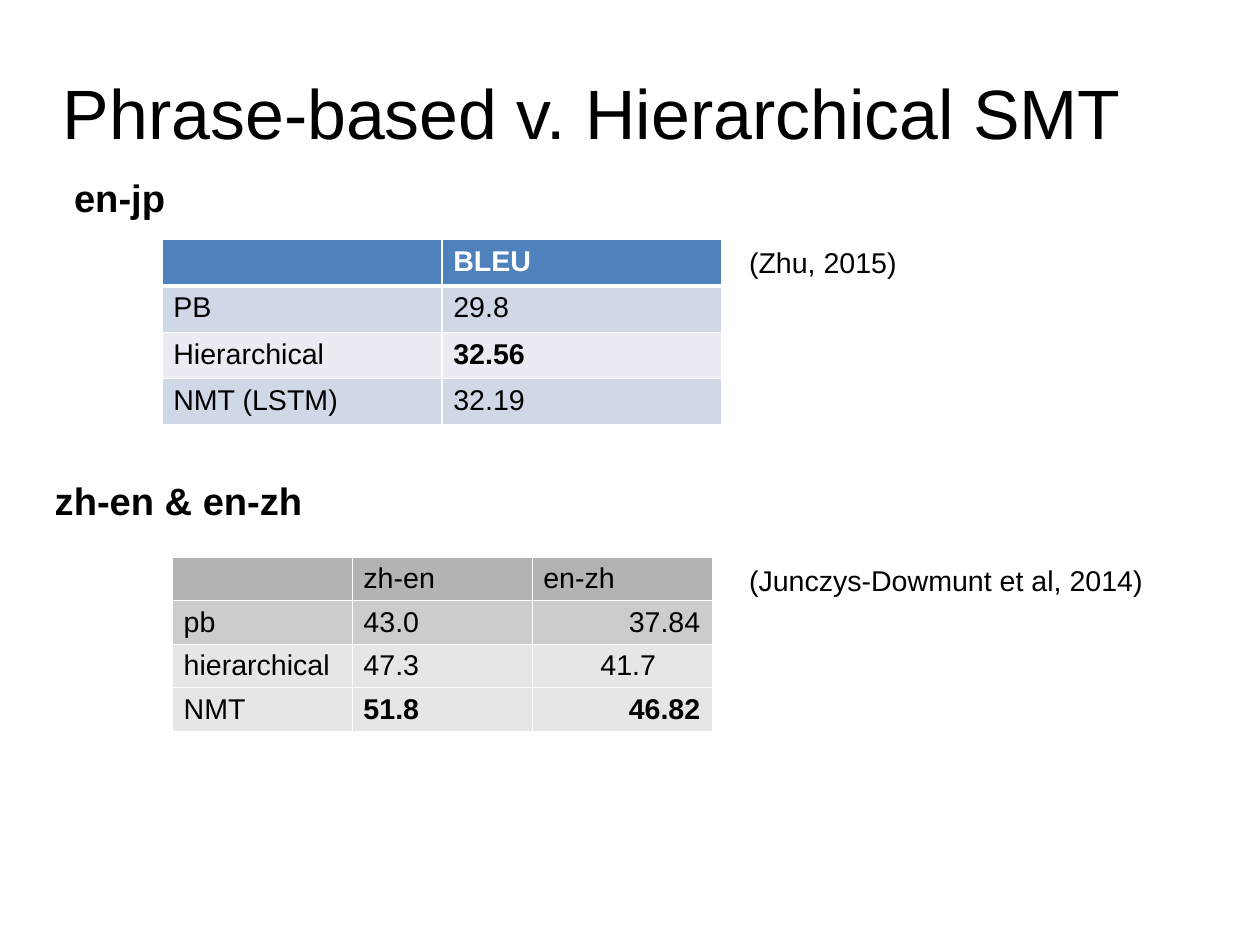
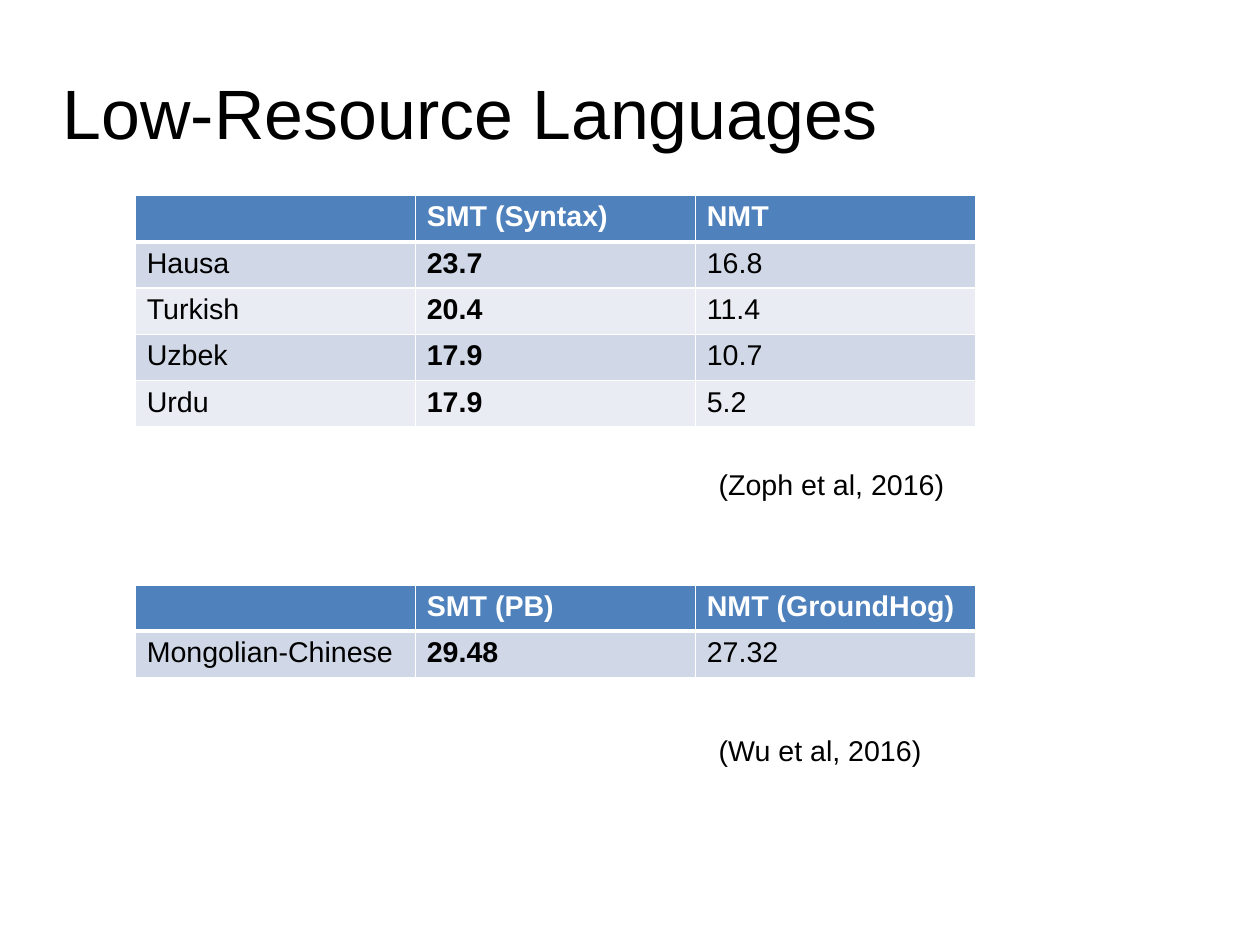
from dataclasses import dataclass

from lxml.etree import SubElement
from pptx import Presentation
from pptx.dml.color import RGBColor
from pptx.enum.text import MSO_ANCHOR, MSO_AUTO_SIZE, PP_ALIGN
from pptx.oxml.ns import qn
from pptx.util import Pt

WHITE = RGBColor(0xFF, 0xFF, 0xFF)
BLACK = RGBColor(0, 0, 0)
BLUE = RGBColor(0x4F, 0x81, 0xBD)
BLUE_BAND = RGBColor(0xD0, 0xD8, 0xE7)
PALE_BAND = RGBColor(0xE9, 0xEC, 0xF3)
DARK_GREY = RGBColor(0xB3, 0xB3, 0xB3)
MIDDLE_GREY = RGBColor(0xCC, 0xCC, 0xCC)
LIGHT_GREY = RGBColor(0xE6, 0xE6, 0xE6)

FONT = "Arial"
SLIDE_WIDTH, SLIDE_HEIGHT = 793.75, 595.25
TITLE_BOX = (39.6, 23.8, 714.2, 99.4)
TITLE_SIZE, HEADING_SIZE, TEXT_SIZE = 44, 24, 18
LABEL_WIDTH = 272


@dataclass(frozen=True)
class TableStyle:
    """Fills, header font, border widths and bottom margin of a kind of table."""

    row_fills: tuple
    header_color: RGBColor
    header_bold: bool
    border: float
    header_rule: float
    bottom_margin: float


BLUE_STYLE = TableStyle(
    (BLUE, BLUE_BAND, PALE_BAND, BLUE_BAND, PALE_BAND), WHITE, True, 0.96, 3, 3.6
)
GREY_STYLE = TableStyle(
    (DARK_GREY, MIDDLE_GREY, LIGHT_GREY, LIGHT_GREY), BLACK, False, 0.06, 0.06, 2.2
)


def set_font(paragraph, size, color=BLACK, bold=False):
    """Give a paragraph the shared typeface with its size, colour and weight."""
    font = paragraph.font
    font.name, font.size, font.bold = FONT, Pt(size), bold
    font.color.rgb = color


def add_titled_slide(presentation, title):
    """Add a title-only slide and format its title."""
    slide = presentation.slides.add_slide(presentation.slide_layouts[5])
    shape = slide.shapes.title
    shape.left, shape.top, shape.width, shape.height = map(Pt, TITLE_BOX)
    frame = shape.text_frame
    frame.text = title
    frame.auto_size = MSO_AUTO_SIZE.NONE
    frame.vertical_anchor = MSO_ANCHOR.MIDDLE
    frame.margin_left = frame.margin_right = frame.margin_top = frame.margin_bottom = 0
    paragraph = frame.paragraphs[0]
    paragraph.alignment = PP_ALIGN.LEFT
    paragraph.line_spacing = 0.9
    set_font(paragraph, TITLE_SIZE)
    return slide


def add_label(slide, text, left, top, height, size=TEXT_SIZE, bold=False):
    """Add one line of text at the given place."""
    box = slide.shapes.add_textbox(Pt(left), Pt(top), Pt(LABEL_WIDTH), Pt(height))
    box.text_frame.word_wrap = True
    box.text_frame.text = text
    set_font(box.text_frame.paragraphs[0], size, bold=bold)


def add_heading(slide, text, left, top):
    """Add a bold section heading."""
    add_label(slide, text, left, top, 32.4, HEADING_SIZE, True)


def add_citation(slide, text, left, top):
    """Add the source of a table."""
    add_label(slide, text, left, top, 47.5)


def set_borders(cell, width, bottom_width):
    """Draw white lines on the four sides of a cell."""
    properties = cell._tc.get_or_add_tcPr()
    sides = (("a:lnL", width), ("a:lnR", width), ("a:lnT", width), ("a:lnB", bottom_width))
    for tag, side_width in sides:
        line = SubElement(properties, qn(tag), w=str(Pt(side_width)))
        fill = SubElement(line, qn("a:solidFill"))
        SubElement(fill, qn("a:srgbClr"), val=str(WHITE))


def add_score_table(slide, rows, left, top, column_width, row_height, style, best):
    """Add a table of scores whose best (row, column) cells are bold."""
    row_count, column_count = len(rows), len(rows[0])
    table = slide.shapes.add_table(
        row_count, column_count, Pt(left), Pt(top),
        Pt(column_width * column_count), Pt(row_height * row_count),
    ).table
    table.horz_banding = False
    for column in table.columns:
        column.width = Pt(column_width)
    for row_index, texts in enumerate(rows):
        table.rows[row_index].height = Pt(row_height)
        is_header = row_index == 0
        for column_index, text in enumerate(texts):
            cell = table.cell(row_index, column_index)
            cell.text = text
            cell.margin_bottom = Pt(style.bottom_margin)
            set_borders(cell, style.border, style.header_rule if is_header else style.border)
            cell.fill.solid()
            cell.fill.fore_color.rgb = style.row_fills[row_index]
            set_font(
                cell.text_frame.paragraphs[0], TEXT_SIZE,
                style.header_color if is_header else BLACK,
                style.header_bold if is_header else (row_index, column_index) in best,
            )
    return table


def build_phrase_slide(presentation):
    """Compare phrase-based with hierarchical translation."""
    slide = add_titled_slide(presentation, "Phrase-based v. Hierarchical SMT")
    citation_left = 464.8
    japanese_top, chinese_top = 151, 350.8

    japanese_rows = (("", "BLEU"), ("PB", "29.8"), ("Hierarchical", "32.56"), ("NMT (LSTM)", "32.19"))
    add_score_table(slide, japanese_rows, 102, japanese_top, 176.4, 29.2, BLUE_STYLE, {(2, 1)})
    add_heading(slide, "en-jp", 39.6, 106.6)
    add_citation(slide, "(Zhu, 2015)", citation_left, japanese_top)

    chinese_rows = (
        ("", "zh-en", "en-zh"),
        ("pb", "43.0", "37.84"),
        ("hierarchical", "47.3", "41.7"),
        ("NMT", "51.8", "46.82"),
    )
    table = add_score_table(
        slide, chinese_rows, 108.5, chinese_top, 113.3, 27.4, GREY_STYLE, {(3, 1), (3, 2)}
    )
    for row_index in (1, 3):
        table.cell(row_index, 2).text_frame.paragraphs[0].alignment = PP_ALIGN.RIGHT
    indented = table.cell(2, 2).text_frame.paragraphs[0]
    indented._p.get_or_add_pPr().set("marL", str(Pt(36)))
    add_citation(slide, "(Junczys-Dowmunt et al, 2014)", citation_left, chinese_top)
    add_heading(slide, "zh-en & en-zh", 27.4, 297)


def build_low_resource_slide(presentation):
    """Compare systems on languages with little data."""
    slide = add_titled_slide(presentation, "Low-Resource Languages")
    language_rows = (
        ("", "SMT (Syntax)", "NMT"),
        ("Hausa", "23.7", "16.8"),
        ("Turkish", "20.4", "11.4"),
        ("Uzbek", "17.9", "10.7"),
        ("Urdu", "17.9", "5.2"),
    )
    mongolian_rows = (("", "SMT (PB)", "NMT (GroundHog)"), ("Mongolian-Chinese", "29.48", "27.32"))
    sections = (
        (language_rows, 123, "(Zoph et al, 2016)", 290.6),
        (mongolian_rows, 368.4, "(Wu et al, 2016)", 458),
    )
    for rows, top, citation, citation_top in sections:
        best = {(row_index, 1) for row_index in range(1, len(rows))}
        add_score_table(slide, rows, 85.3, top, 176.4, 29.2, BLUE_STYLE, best)
        add_citation(slide, citation, 445.7, citation_top)


def main():
    """Build and save the presentation."""
    presentation = Presentation()
    presentation.slide_width, presentation.slide_height = Pt(SLIDE_WIDTH), Pt(SLIDE_HEIGHT)
    build_phrase_slide(presentation)
    build_low_resource_slide(presentation)
    presentation.save("out.pptx")


main()
